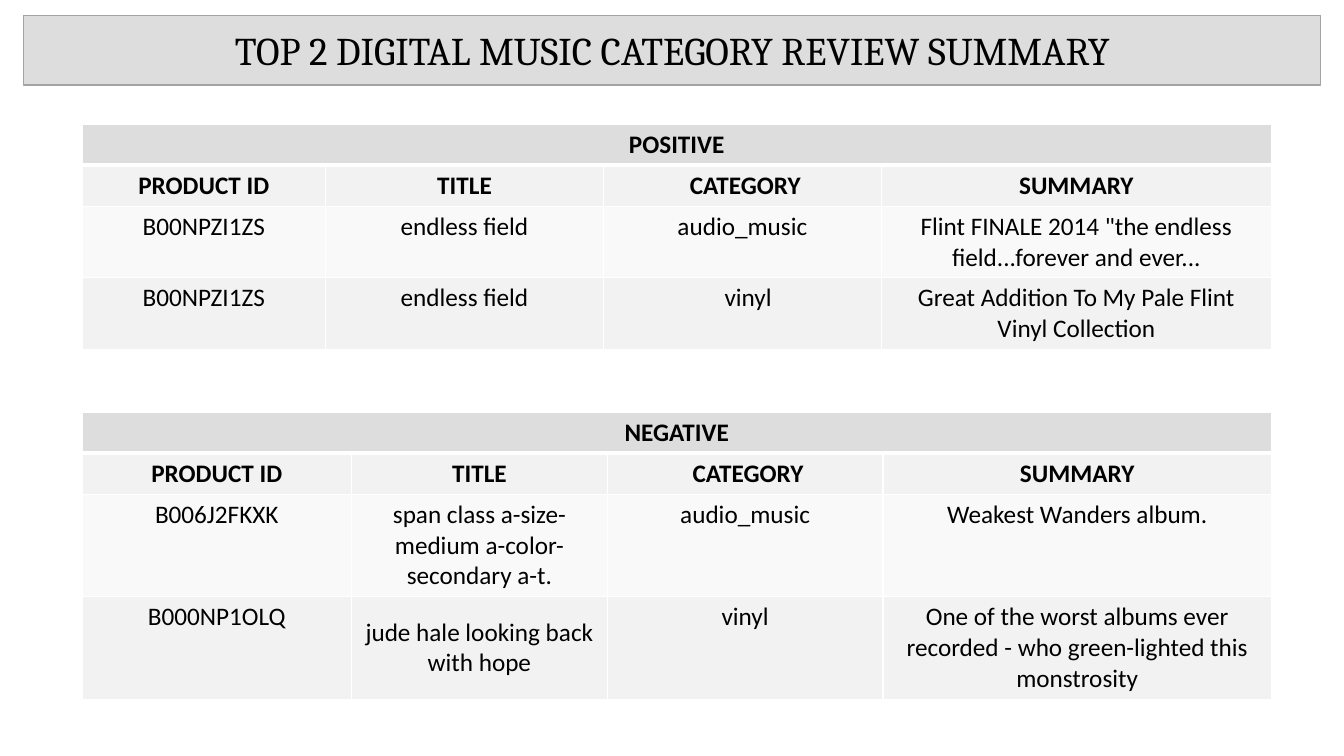
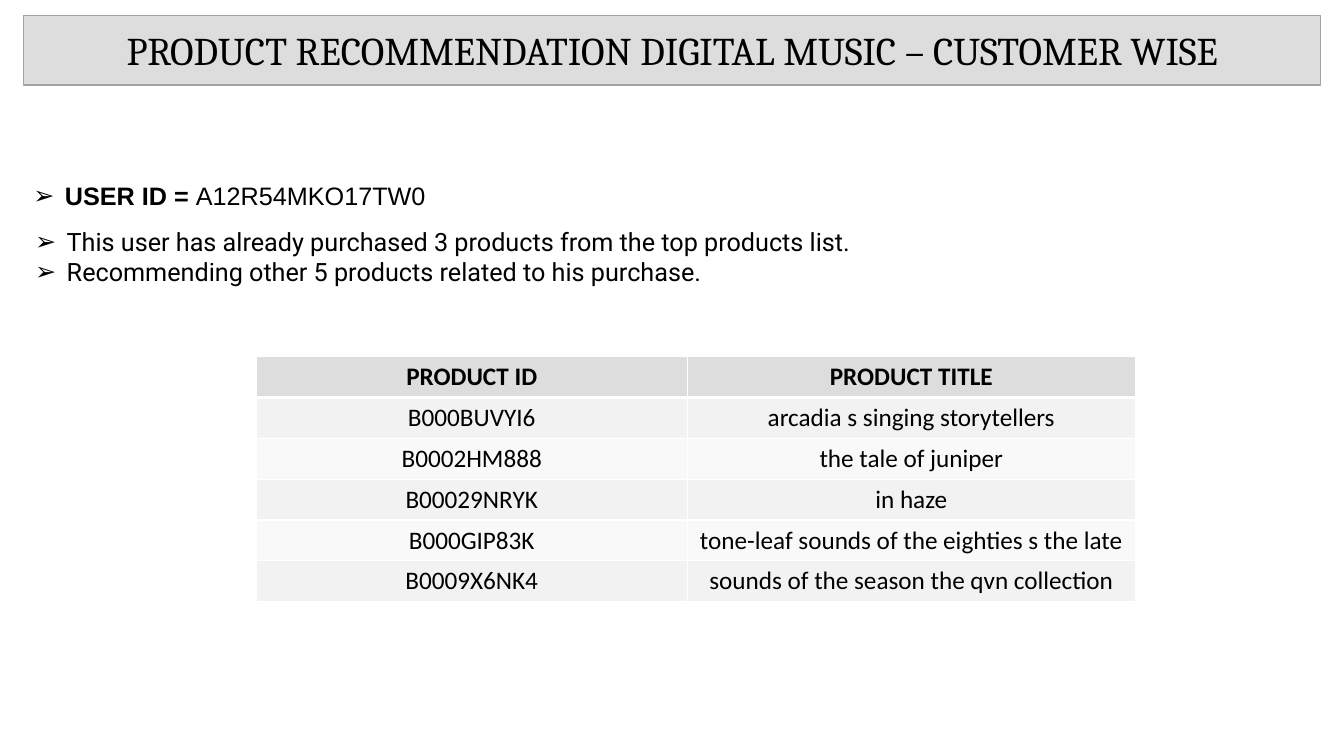
from lxml.etree import SubElement
from pptx import Presentation
from pptx.dml.color import RGBColor
from pptx.enum.shapes import MSO_SHAPE
from pptx.enum.text import MSO_ANCHOR, PP_ALIGN
from pptx.oxml.ns import qn
from pptx.util import Pt

BLACK, WHITE, BAND, EDGE = "000000", "FFFFFF", "DDDDDD", "A3A3A3"
STRIPES = ("F2F2F2", "F9F9F9")
ROW = 29.16
REVIEW_HEADINGS = ["PRODUCT ID", "TITLE", "CATEGORY", "SUMMARY"]
MIDDLE = {"vertical_anchor": MSO_ANCHOR.MIDDLE}


def colour(hex_value):
    return RGBColor.from_string(hex_value)


def apply(target, values):
    """Set every attribute in values on target."""
    for name, value in values.items():
        setattr(target, name, value)


def set_borders(cell, widths):
    """Draw white cell borders; widths maps L, R, T and B to points."""
    properties = cell._tc.get_or_add_tcPr()
    for index, (side, width) in enumerate(widths.items()):
        line = SubElement(properties, qn(f"a:ln{side}"), w=str(Pt(width)))
        fill = SubElement(line, qn("a:solidFill"))
        SubElement(fill, qn("a:srgbClr"), val=WHITE)
        properties.insert(index, line)


def add_bullet(paragraph, indent=22.5):
    properties = paragraph._p.get_or_add_pPr()
    properties.set("marL", str(Pt(indent)))
    properties.set("indent", str(Pt(-indent)))
    SubElement(properties, qn("a:buFont"), typeface="Arial")
    SubElement(properties, qn("a:buChar"), char="➢")


class Deck:
    """Holds the presentation, its style and the current slide."""

    def __init__(self):
        self.presentation = Presentation()
        apply(self.presentation, {"slide_width": Pt(960), "slide_height": Pt(540)})
        self.slide = None

    def add_slide(self, title):
        layout = self.presentation.slide_layouts[6]
        self.slide = self.presentation.slides.add_slide(layout)
        band = self.slide.shapes.add_shape(
            MSO_SHAPE.RECTANGLE, Pt(16.8), Pt(11.2), Pt(926.6), Pt(49.4))
        band.shadow.inherit = False
        band.fill.solid()
        band.fill.fore_color.rgb = colour(BAND)
        band.line.color.rgb = colour(EDGE)
        band.line.width = Pt(1)
        apply(band.text_frame, MIDDLE)
        paragraph = band.text_frame.paragraphs[0]
        paragraph.alignment = PP_ALIGN.CENTER
        self.add_run(paragraph, title, "Cambria", size=28)

    def add_run(self, paragraph, text, font, size=18, bold=False):
        run = paragraph.add_run()
        run.text = text
        apply(run.font, {"name": font, "size": Pt(size), "bold": bold})
        run.font.color.rgb = colour(BLACK)

    def add_bullets(self, left, top, width, height, items, font, frame_format):
        """Each item is a list of (text, bold) pairs."""
        box = self.slide.shapes.add_textbox(Pt(left), Pt(top), Pt(width), Pt(height))
        frame = box.text_frame
        apply(frame, {"word_wrap": True, **frame_format})
        for index, item in enumerate(items):
            paragraph = frame.add_paragraph() if index else frame.paragraphs[0]
            add_bullet(paragraph)
            for text, bold in item:
                self.add_run(paragraph, text, font, bold=bold)

    def add_table(self, left, top, columns, heights, rows, bold_rows=1, cell_formats=None):
        """The first row is the band; a one-cell row spans the table."""
        cell_formats = cell_formats or {}
        frame = self.slide.shapes.add_table(
            len(rows), len(columns), Pt(left), Pt(top), Pt(sum(columns)), Pt(sum(heights)))
        table = frame.table
        apply(table, {"first_row": False, "horz_banding": False})
        for column, width in zip(table.columns, columns):
            column.width = Pt(width)
        for row_index, (texts, height) in enumerate(zip(rows, heights)):
            table.rows[row_index].height = Pt(height)
            fill = STRIPES[(row_index - 1) % 2] if row_index else BAND
            for column_index in range(len(columns)):
                cell = table.cell(row_index, column_index)
                cell.fill.solid()
                cell.fill.fore_color.rgb = colour(fill)
                set_borders(cell, {"L": 1, "R": 1, "T": 3 if row_index == 1 else 1,
                                   "B": 1 if row_index else 3})
                apply(cell, cell_formats.get((row_index, column_index), {}))
                if column_index < len(texts):
                    paragraph = cell.text_frame.paragraphs[0]
                    paragraph.alignment = PP_ALIGN.CENTER
                    self.add_run(paragraph, texts[column_index], "Calibri",
                                 bold=row_index < bold_rows)
            if len(texts) == 1:
                table.cell(row_index, 0).merge(table.cell(row_index, len(columns) - 1))


def build_review_summary(deck):
    deck.add_slide("TOP 2 DIGITAL MUSIC CATEGORY REVIEW SUMMARY")
    shifted_heading = {(1, 2): {"margin_left": Pt(11.3)}}
    reviews = [
        ("POSITIVE", 88.9, [174, 198.5, 198.5, 278.6], 51.2, [
            ["B00NPZI1ZS", "endless field", "audio_music",
             'Flint FINALE 2014 "the endless field...forever and ever...'],
            ["B00NPZI1ZS", "endless field", "vinyl",
             "Great Addition To My Pale Flint Vinyl Collection"],
        ], {(3, 2): {"margin_left": Pt(15.4)}}),
        ("NEGATIVE", 294.6, [192.6, 182.6, 197, 277.4], 73.2, [
            ["B006J2FKXK", "span class a-size-medium a-color-secondary a-t.",
             "audio_music", "Weakest Wanders album."],
            ["B000NP1OLQ", "jude hale looking back with hope", "vinyl",
             "One of the worst albums ever recorded - who green-lighted this monstrosity"],
        ], {(3, 1): MIDDLE}),
    ]
    for heading, top, columns, height, products, cell_formats in reviews:
        deck.add_table(58.6, top, columns, [ROW, ROW, height, height],
                       [[heading], REVIEW_HEADINGS, *products], bold_rows=2,
                       cell_formats={**shifted_heading, **cell_formats})


def build_recommendation(deck):
    deck.add_slide("PRODUCT RECOMMENDATION DIGITAL MUSIC – CUSTOMER WISE")
    deck.add_bullets(16.8, 125.3, 480, 29, [[("USER ID = ", True), ("A12R54MKO17TW0", False)]],
                     "Arial", {})
    no_margins = {f"margin_{side}": 0 for side in ("left", "top", "right", "bottom")}
    deck.add_bullets(25.2, 161.3, 585, 44, [
        [("This user has already purchased 3 products from the top products list.", False)],
        [("Recommending other 5 products related to his purchase.", False)],
    ], "Roboto", {**MIDDLE, **no_margins})
    rows = [
        ["PRODUCT ID", "PRODUCT TITLE"],
        ["B000BUVYI6", "arcadia s singing storytellers"],
        ["B0002HM888", "the tale of juniper"],
        ["B00029NRYK", "in haze"],
        ["B000GIP83K", "tone-leaf sounds of the eighties s the late"],
        ["B0009X6NK4", "sounds of the season the qvn collection"],
    ]
    centred = {(row, column): MIDDLE for row in range(1, len(rows)) for column in range(2)}
    deck.add_table(182.9, 254.9, [308.2, 319.8], [ROW] * len(rows), rows, cell_formats=centred)


def main():
    deck = Deck()
    build_review_summary(deck)
    build_recommendation(deck)
    deck.presentation.save("out.pptx")


if __name__ == "__main__":
    main()
